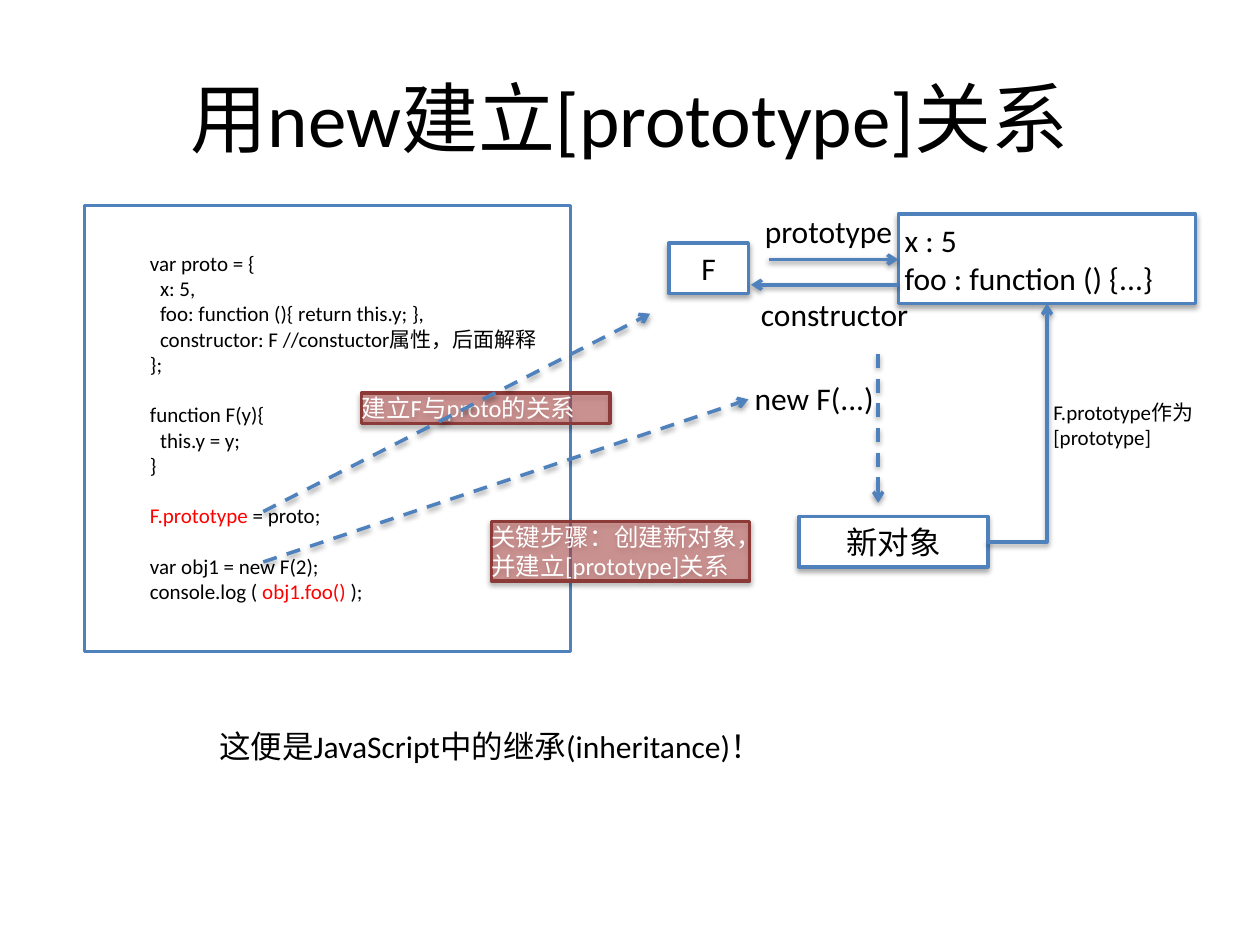
"""Build the slide on how new sets up the prototype relation."""
from lxml import etree
from pptx import Presentation, util as u
from pptx.dml.color import RGBColor
from pptx.enum import dml, shapes, text
from pptx.oxml import ns, parse_xml

BLACK = RGBColor(0x00, 0x00, 0x00)
WHITE = RGBColor(0xFF, 0xFF, 0xFF)
RED = RGBColor(0xFF, 0x00, 0x00)
BLUE = RGBColor(0x4F, 0x81, 0xBD)
BRICK = RGBColor(0xC0, 0x50, 0x4D)
DARK_BRICK = RGBColor(0x8C, 0x3A, 0x38)
LEFT, CENTER = text.PP_ALIGN.LEFT, text.PP_ALIGN.CENTER
TOP, MIDDLE = text.MSO_ANCHOR.TOP, text.MSO_ANCHOR.MIDDLE


def write(shape, lines, size, color=BLACK, align=LEFT, anchor=TOP, inset=0.05, wrap=True):
    """Fill a shape with lines, each a list of (text, color) runs or a plain string."""
    frame = shape.text_frame
    margin = u.Inches(inset)
    settings = {"word_wrap": wrap, "vertical_anchor": anchor, "margin_left": margin,
                "margin_right": margin, "margin_top": margin, "margin_bottom": margin}
    for name, value in settings.items():
        setattr(frame, name, value)
    for index, line in enumerate(lines):
        paragraph = frame.paragraphs[0] if index == 0 else frame.add_paragraph()
        paragraph.alignment = align
        for words, run_color in [(line, color)] if isinstance(line, str) else line:
            run = paragraph.add_run()
            run.text = words
            run.font.name, run.font.size = "Calibri", u.Pt(size)
            run.font.color.rgb = run_color
    return frame


def add_shadow(shape, distance, opacity):
    """Give a shape a soft shadow straight below it."""
    shape._element.spPr.append(parse_xml(
        f'<a:effectLst {ns.nsdecls("a")}><a:outerShdw blurRad="{u.Pt(3)}" '
        f'dist="{u.Pt(distance)}" dir="5400000" rotWithShape="0"><a:srgbClr val="000000">'
        f'<a:alpha val="{opacity * 1000}"/></a:srgbClr></a:outerShdw></a:effectLst>'))


presentation = Presentation()
presentation.slide_width, presentation.slide_height = u.Inches(10), u.Inches(7.5)
slide = presentation.slides.add_slide(presentation.slide_layouts[6])
slide.background.fill.solid()
slide.background.fill.fore_color.rgb = WHITE

panel = slide.shapes.add_shape(shapes.MSO_SHAPE.RECTANGLE, *map(u.Inches, (0.67, 1.63, 3.86, 3.54)))
panel.shadow.inherit = False
panel.fill.solid()
panel.fill.fore_color.rgb = WHITE
panel.line.color.rgb, panel.line.width = BLUE, u.Pt(2)

title = slide.shapes.add_textbox(*map(u.Inches, (0.5, 0.3, 9, 1.25)))
write(title, ["用new建立[prototype]关系"], 44, align=CENTER, anchor=MIDDLE)

code_lines = [
    "var proto = {",
    "x: 5,",
    "foo: function (){ return this.y; },",
    "constructor: F //constuctor属性，后面解释",
    "};",
    "function F(y){",
    "this.y = y;",
    "}",
    [("F.prototype", RED), (" = proto;", BLACK)],
    "var obj1 = new F(2);",
    [("console.log (", BLACK), (" obj1.foo() ", RED), (");", BLACK)],
]
code = slide.shapes.add_textbox(*map(u.Inches, (1.14, 1.94, 4.49, 2.93)))
code_paragraphs = write(code, code_lines, 12).paragraphs
for index in (1, 2, 3, 6):
    code_paragraphs[index]._p.get_or_add_pPr().set("marL", str(u.Inches(0.08)))
for index in (5, 8, 9):
    code_paragraphs[index].space_before = u.Pt(14.5)

labels = [
    ((2.87, 3.12, 1.97, 0.24), "建立F与proto的关系"),
    ((3.9, 4.14, 2.05, 0.47), "关键步骤：创建新对象，并建立[prototype]关系"),
]
boxes = [
    ((7.13, 1.7, 2.36, 0.71), ["x : 5", "foo : function () {...} "], LEFT),
    ((6.34, 4.1, 1.5, 0.4), ["新对象"], CENTER),
    ((5.31, 1.93, 0.63, 0.4), ["F"], CENTER),
]
blocks = [(place, [words], BRICK, DARK_BRICK, dict(size=14, color=WHITE, inset=0))
          for place, words in labels]
blocks += [(place, lines, WHITE, BLUE, dict(size=18, align=align, anchor=MIDDLE))
           for place, lines, align in boxes]
for place, lines, fill, border, style in blocks:
    block = slide.shapes.add_shape(shapes.MSO_SHAPE.RECTANGLE, *map(u.Inches, place))
    block.fill.solid()
    block.fill.fore_color.rgb = fill
    block.line.color.rgb, block.line.width = border, u.Pt(2)
    if fill == BRICK:
        fill_color = block._element.spPr.find(".//" + ns.qn("a:srgbClr"))
        etree.SubElement(fill_color, ns.qn("a:alpha"), val="50000")
    add_shadow(block, 1.8, 35)
    write(block, lines, **style)

captions = [
    ((6.02, 1.63, 1.5, 0.4), ["prototype"], dict(size=18)),
    ((5.94, 2.24, 1.39, 0.4), ["constructor"], dict(size=18, inset=0.1, wrap=False)),
    ((5.94, 2.96, 3.46, 0.4), ["new F(...)"], dict(size=18)),
    ((8.31, 3.12, 1.42, 0.5), ["F.prototype作为", "[prototype]"], dict(size=12)),
    ((1.69, 5.72, 6.77, 0.4), ["这便是JavaScript中的继承(inheritance)！"], dict(size=18)),
]
for place, lines, style in captions:
    write(slide.shapes.add_textbox(*map(u.Inches, place)), lines, **style)

STRAIGHT, ELBOW = shapes.MSO_CONNECTOR.STRAIGHT, shapes.MSO_CONNECTOR.ELBOW
arrows = [
    (STRAIGHT, (6.1, 2.06, 7.13, 2.06), False),
    (STRAIGHT, (7.13, 2.26, 5.96, 2.26), False),
    (STRAIGHT, (6.97, 2.81, 6.97, 3.99), True),
    (ELBOW, (7.83, 4.3, 8.31, 2.41), False),
    (STRAIGHT, (2.09, 4.06, 5.16, 2.49), True),
    (STRAIGHT, (2.09, 4.46, 5.94, 3.17), True),
]
for kind, ends, dashed in arrows:
    arrow = slide.shapes.add_connector(kind, *map(u.Inches, ends))
    arrow.line.color.rgb, arrow.line.width = BLUE, u.Pt(2)
    if dashed:
        arrow.line.dash_style = dml.MSO_LINE.DASH
    if kind == ELBOW:
        arrow._element.spPr.find(ns.qn("a:prstGeom")).set("prst", "bentConnector2")
    etree.SubElement(arrow.line._get_or_add_ln(), ns.qn("a:tailEnd"), type="arrow")
    add_shadow(arrow, 1.6, 38)

presentation.save("out.pptx")
